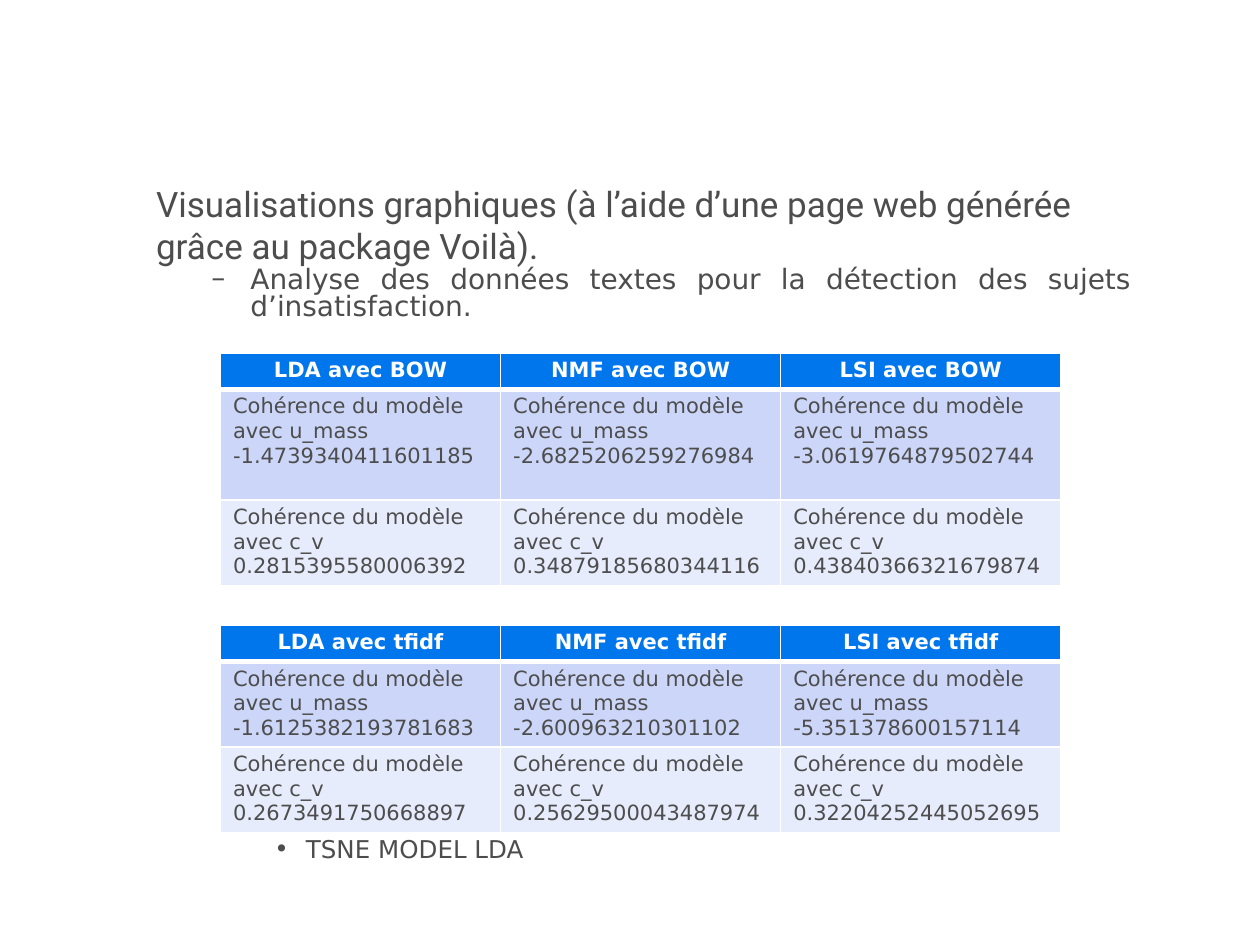
from lxml import etree
from pptx import Presentation
from pptx.dml.color import RGBColor
from pptx.enum.text import MSO_ANCHOR, PP_ALIGN
from pptx.oxml.ns import qn
from pptx.util import Inches, Pt

MIDDLE = MSO_ANCHOR.MIDDLE
TOP = MSO_ANCHOR.TOP
LEFT = PP_ALIGN.LEFT
CENTER = PP_ALIGN.CENTER
JUSTIFY = PP_ALIGN.JUSTIFY

COLORS = {
    "text": "4D4D4D",
    "white": "FFFFFF",
    "header": "0076ED",
    "band_dark": "CCD6F8",
    "band_light": "E7ECFC",
}
TITLE_FONT = "Roboto"
BODY_FONT = "DejaVu Sans"

TABLE_LEFT, TABLE_WIDTH = 1.75, 6.67
CELL_MARGIN = 0.04
THIN, THICK = 1, 3
MEASURES = ("u_mass", "c_v")

# Each table: top, row heights, column headings, one list of values per measure
TABLES = [
    (2.8, (0.29, 0.88, 0.68),
     ("LDA avec BOW", "NMF avec BOW", "LSI avec BOW"),
     (("-1.4739340411601185", "-2.6825206259276984", "-3.0619764879502744"),
      ("0.2815395580006392", "0.34879185680344116", "0.43840366321679874"))),
    (4.96, (0.29, 0.68, 0.68),
     ("LDA avec tfidf", "NMF avec tfidf", "LSI avec tfidf"),
     (("-1.6125382193781683", "-2.600963210301102", "-5.351378600157114"),
      ("0.2673491750668897", "0.25629500043487974", "0.32204252445052695"))),
]


class SlideBuilder:
    def __init__(self, page):
        self.page = page

    def style(self, para, size, color="text", font=BODY_FONT, bold=False, align=LEFT):
        para.alignment = align
        para.font.size = Pt(size)
        para.font.name = font
        para.font.bold = bold
        para.font.color.rgb = RGBColor.from_string(COLORS[color])

    def text_box(self, left, top, width, height, anchor=TOP):
        box = self.page.shapes.add_textbox(
            Inches(left), Inches(top), Inches(width), Inches(height))
        frame = box.text_frame
        frame.word_wrap = True
        frame.vertical_anchor = anchor
        return frame

    def bullet(self, para, text, char, size, level, margin, indent, gap):
        para.text = text
        para.level = level
        para.line_spacing = 0.8
        para.space_before = Pt(gap)
        self.style(para, size, align=JUSTIFY)
        props = para._p.get_or_add_pPr()
        props.set("marL", str(Inches(margin)))
        props.set("indent", str(Inches(indent)))
        etree.SubElement(props, qn("a:buFont")).set("typeface", BODY_FONT)
        etree.SubElement(props, qn("a:buChar")).set("char", char)

    def cell_borders(self, cell, top, bottom):
        props = cell._tc.get_or_add_tcPr()
        widths = {"a:lnL": THIN, "a:lnR": THIN, "a:lnT": top, "a:lnB": bottom}
        for place, (tag, width) in enumerate(widths.items()):
            line = etree.Element(qn(tag), w=str(Pt(width)))
            fill = etree.SubElement(line, qn("a:solidFill"))
            etree.SubElement(fill, qn("a:srgbClr")).set("val", COLORS["white"])
            props.insert(place, line)

    def cell(self, cell, lines, fill, top=THIN, bottom=THIN, **style):
        cell.fill.solid()
        cell.fill.fore_color.rgb = RGBColor.from_string(COLORS[fill])
        cell.margin_top = cell.margin_bottom = Inches(CELL_MARGIN)
        cell.text = "\n".join(lines)
        for para in cell.text_frame.paragraphs:
            self.style(para, 12, **style)
        self.cell_borders(cell, top, bottom)

    def table(self, top, heights, headings, values):
        table = self.page.shapes.add_table(
            len(heights), len(headings), Inches(TABLE_LEFT), Inches(top),
            Inches(TABLE_WIDTH), Inches(sum(heights))).table
        for row, height in zip(table.rows, heights):
            row.height = Inches(height)
        for col, heading in enumerate(headings):
            self.cell(table.cell(0, col), [heading], "header", bottom=THICK,
                      color="white", bold=True, align=CENTER)
        bands = ("band_dark", "band_light")
        for row, (measure, scores, band) in enumerate(zip(MEASURES, values, bands), 1):
            for col, score in enumerate(scores):
                lines = [f"Cohérence du modèle avec {measure}", score]
                self.cell(table.cell(row, col), lines, band,
                          top=THICK if row == 1 else THIN)


def main():
    deck = Presentation()
    deck.slide_width, deck.slide_height = Inches(10), Inches(7.5)
    builder = SlideBuilder(deck.slides.add_slide(deck.slide_layouts[6]))

    # Title
    title = builder.text_box(1.14, 1.39, 8, 0.78, MIDDLE).paragraphs[0]
    title.text = ("Visualisations graphiques (à l’aide d’une page web générée "
                  "grâce au package Voilà).")
    builder.style(title, 20, font=TITLE_FONT)

    # Outline, with a gap that leaves room for the tables
    body = builder.text_box(1.08, 2.08, 8, 4.58)
    builder.bullet(body.paragraphs[0],
                   "Analyse des données textes pour la détection des sujets d’insatisfaction.",
                   "–", 16, 1, 0.81, -0.31, gap=3.2)
    builder.bullet(body.add_paragraph(), "TSNE MODEL LDA",
                   "•", 14, 2, 1.25, -0.25, gap=296)

    # Coherence tables
    for top, heights, headings, values in TABLES:
        builder.table(top, heights, headings, values)

    deck.save("out.pptx")


if __name__ == "__main__":
    main()
